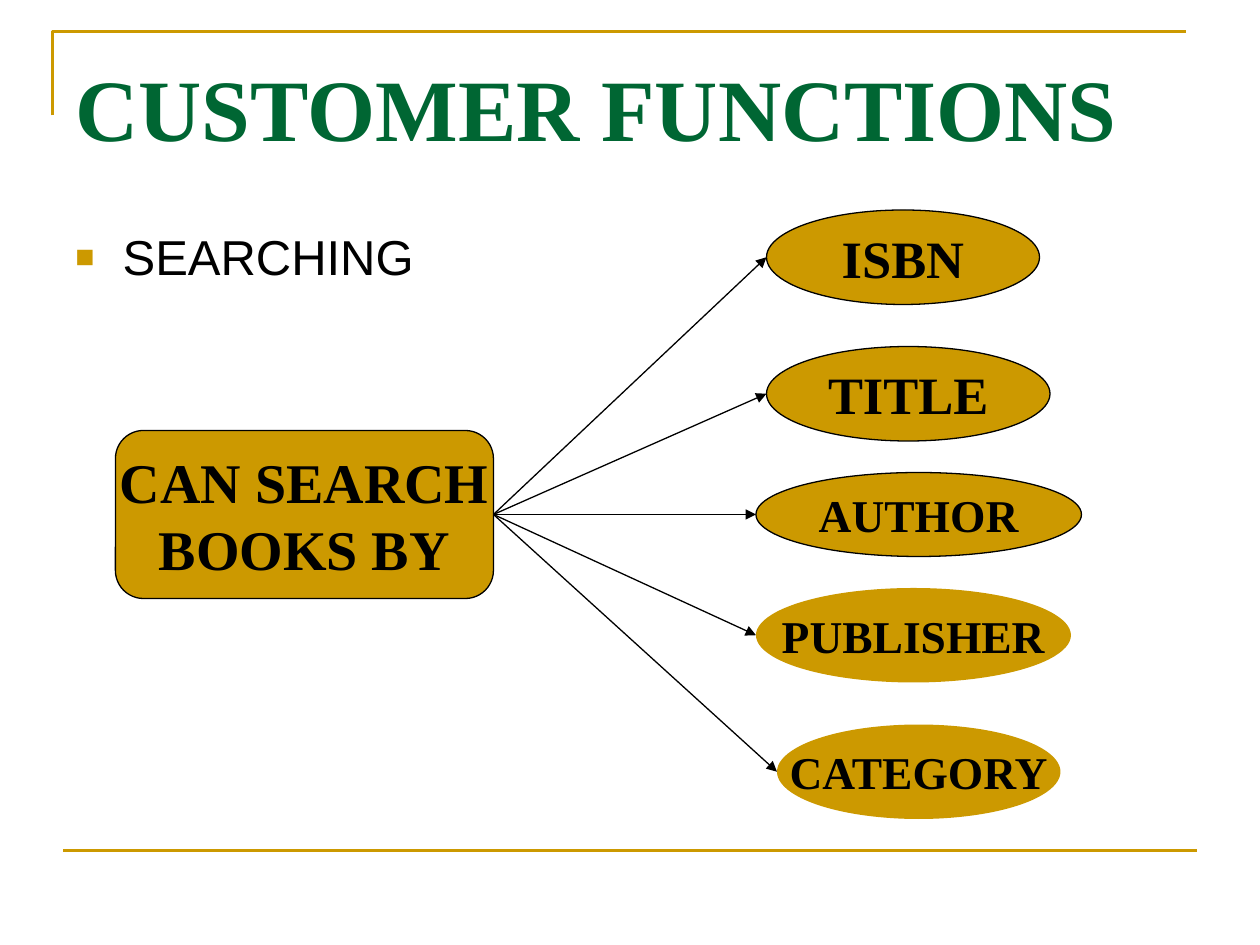
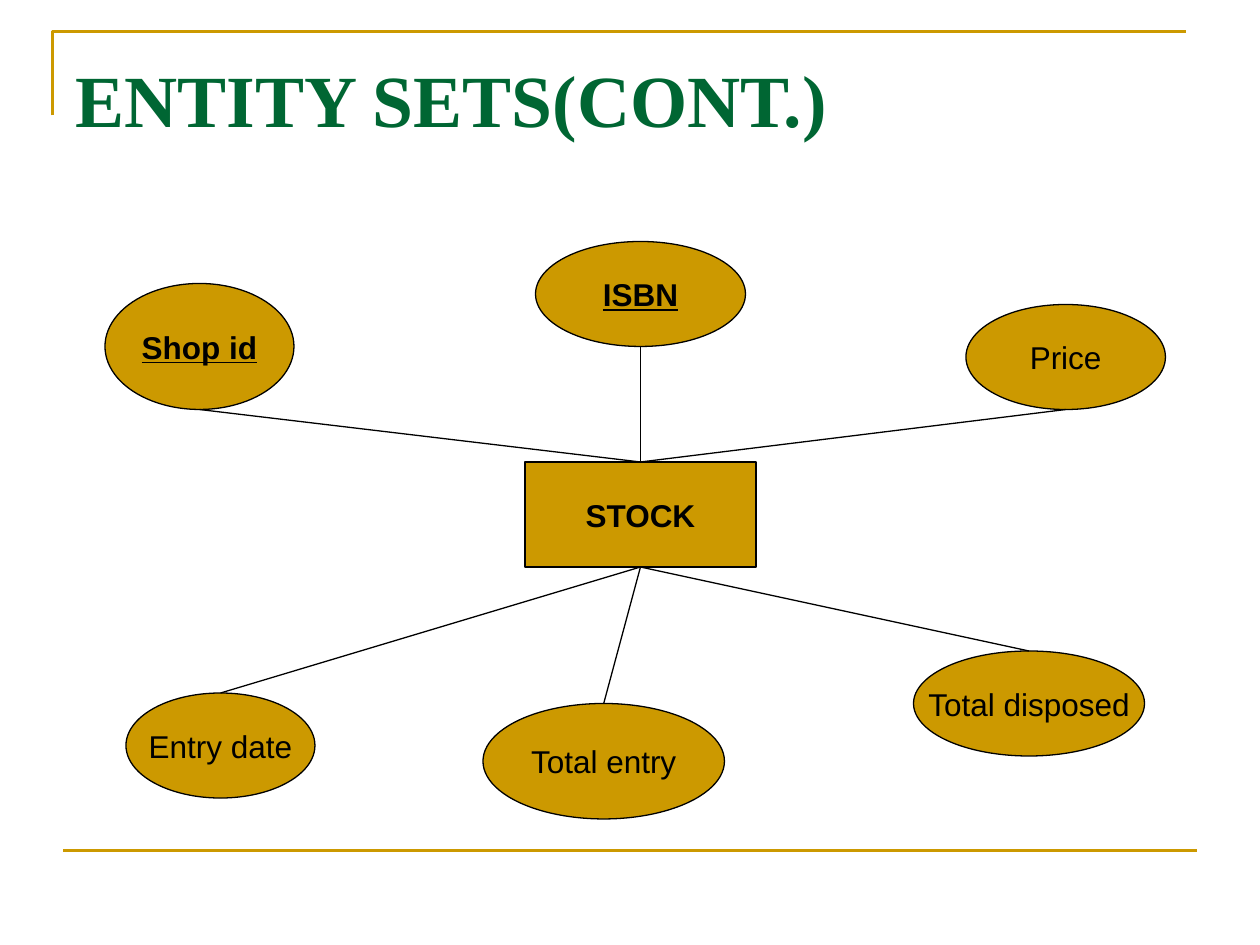
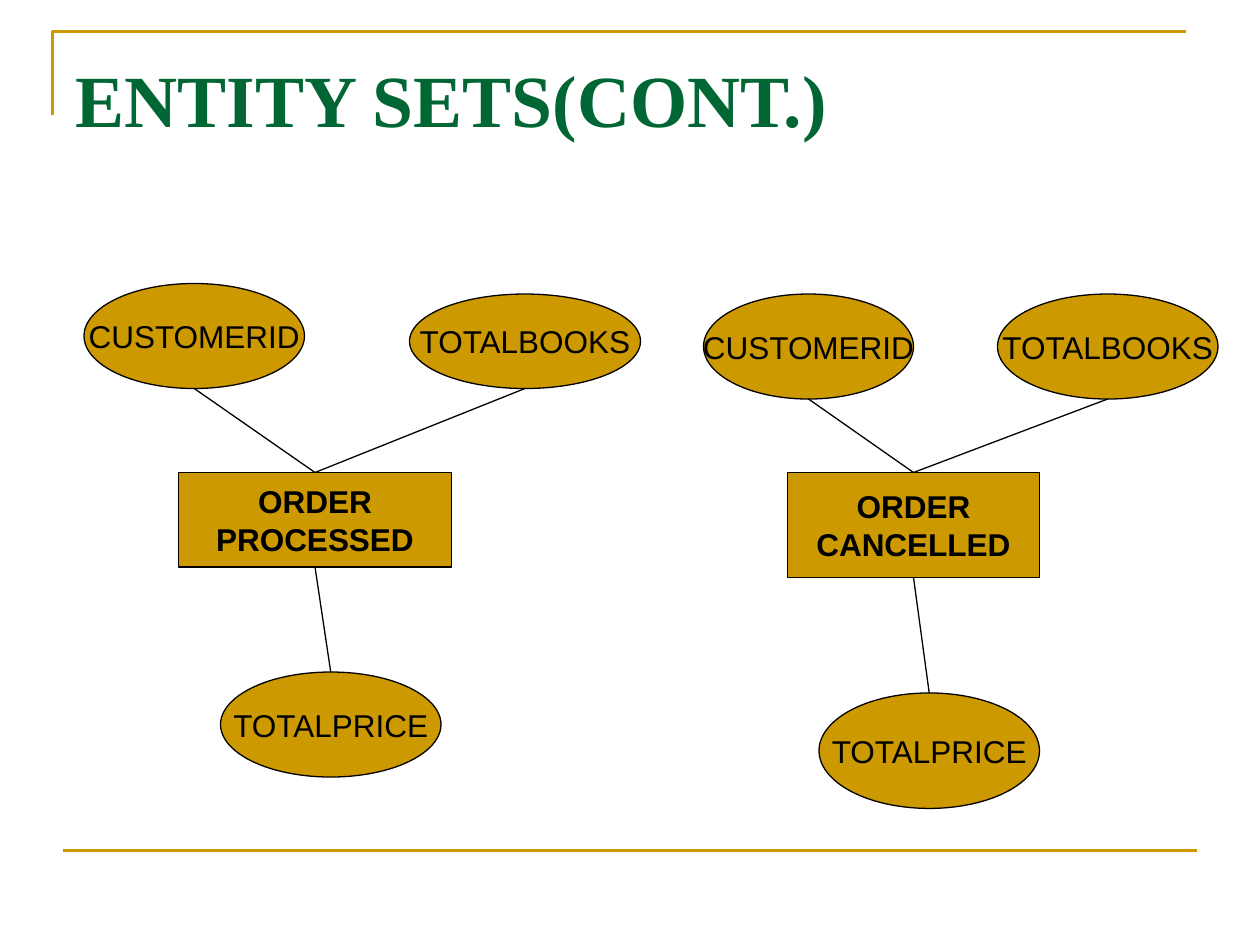
import pptx
import pptx.dml.color
import pptx.enum.shapes
import pptx.enum.text
import pptx.oxml
import pptx.oxml.ns
import pptx.util

Pt = pptx.util.Pt
Color = pptx.dml.color.RGBColor
Shape = pptx.enum.shapes.MSO_SHAPE
Anchor = pptx.enum.text.MSO_ANCHOR
Align = pptx.enum.text.PP_ALIGN

GOLD = Color(0xCC, 0x99, 0x00)
GREEN = Color(0x00, 0x66, 0x33)
BLACK = Color(0x00, 0x00, 0x00)
SERIF = "Times New Roman"
SANS = "Arial"
TOP, LEFT, BOTTOM, RIGHT = range(4)


def write(frame, text, size=18, font=SANS, color=BLACK, bold=False,
          under=False, align=Align.CENTER, anchor=Anchor.MIDDLE, wrap=False):
    """Fill a text frame, one paragraph for each line of text."""
    frame.text = text
    frame.word_wrap = wrap
    frame.auto_size = pptx.enum.text.MSO_AUTO_SIZE.NONE
    frame.vertical_anchor = anchor
    for para in frame.paragraphs:
        para.alignment = align
        for run in para.runs:
            run.font.name = font
            run.font.size = Pt(size)
            run.font.bold = bold
            run.font.underline = under
            run.font.color.rgb = color


def node(slide, box, kind, spot, text, edge=True, **style):
    """Add a gold shape at a spot measured from the corner of the box."""
    left, top, width, height = spot
    shape = slide.shapes.add_shape(kind, Pt(box[0] + left), Pt(box[1] + top),
                                   Pt(width), Pt(height))
    shape.shadow.inherit = False
    shape.fill.solid()
    shape.fill.fore_color.rgb = GOLD
    if edge:
        shape.line.color.rgb = BLACK
        shape.line.width = Pt(0.75)
    else:
        shape.line.fill.background()
    write(shape.text_frame, text, **style)
    return shape


def rule(slide, start, end, color=BLACK, width=0.75, arrow=False):
    """Draw a straight line, with an arrowhead at its end if asked."""
    line = slide.shapes.add_connector(
        pptx.enum.shapes.MSO_CONNECTOR.STRAIGHT, *start, *end)
    line.line.color.rgb = color
    line.line.width = Pt(width)
    props = line._element.spPr
    if arrow:
        tail = pptx.oxml.parse_xml(
            f'<a:tailEnd {pptx.oxml.ns.nsdecls("a")} type="triangle"/>')
        props.find(pptx.oxml.ns.qn("a:ln")).append(tail)
    props.append(pptx.oxml.parse_xml(
        f'<a:effectLst {pptx.oxml.ns.nsdecls("a")}/>'))
    return line


def middle(shape, side):
    """Return the middle of one side of a shape."""
    across = {LEFT: 0, RIGHT: shape.width}.get(side, shape.width // 2)
    down = {TOP: 0, BOTTOM: shape.height}.get(side, shape.height // 2)
    return shape.left + across, shape.top + down


def link(slide, hub, out, oval, into, arrow=False):
    """Join a side of the hub to a side of an oval."""
    line = rule(slide, middle(hub, out), middle(oval, into), arrow=arrow)
    line.begin_connect(hub, out)
    if into == TOP:
        line.end_connect(oval, TOP)


def page(deck, title, size):
    """Add a slide with the gold frame lines and a green title."""
    slide = deck.slides.add_slide(deck.slide_layouts[5])
    pen = slide.shapes.build_freeform(Pt(30), Pt(66))
    pen.add_line_segments([(Pt(30), Pt(18)), (Pt(678), Pt(18))], close=False)
    frame = pen.convert_to_shape()
    frame.shadow.inherit = False
    frame.fill.background()
    frame.line.color.rgb = GOLD
    frame.line.width = Pt(1.5)
    rule(slide, (Pt(36), Pt(486)), (Pt(684), Pt(486)), GOLD, 1.5)
    head = slide.shapes.title
    head.left, head.top, head.width, head.height = map(Pt, (36, 21.6, 648, 90))
    write(head.text_frame, title, size=size, font=SERIF, color=GREEN,
          bold=True, align=Align.LEFT, anchor=Anchor.TOP, wrap=True)
    head.text_frame.margin_top = Pt(9)
    return slide


def bullet(slide, box, text):
    """Add a line of text with a square gold bullet."""
    frame = slide.shapes.add_textbox(*map(Pt, box)).text_frame
    write(frame, text, size=28, align=Align.LEFT, anchor=Anchor.TOP, wrap=True)
    para = frame.paragraphs[0]
    para.space_before = Pt(7)
    props = para._p.get_or_add_pPr()
    props.set("marL", str(Pt(27)))
    props.set("indent", str(Pt(-27)))
    space = pptx.oxml.ns.nsdecls("a")
    for mark in (f'<a:buClr {space}><a:srgbClr val="{GOLD}"/></a:buClr>',
                 f'<a:buSzPct {space} val="65000"/>',
                 f'<a:buFont {space} typeface="{SANS}"/>',
                 f'<a:buChar {space} char="■"/>'):
        props.append(pptx.oxml.parse_xml(mark))


def fan(slide, box, text, spot, leaves):
    """Draw a rounded hub with arrows to a column of ovals."""
    hub = node(slide, box, Shape.ROUNDED_RECTANGLE, spot, text,
               size=32, font=SERIF, bold=True)
    ovals = [node(slide, box, Shape.OVAL, place, label, edge=edge,
                  size=size, font=SERIF, bold=True)
             for label, place, size, edge in leaves]
    for oval in ovals:
        link(slide, hub, RIGHT, oval, LEFT, arrow=True)


def entity(slide, box, name, spot, above, below, keys=()):
    """Draw an entity with attribute ovals above and below; keys stand out."""
    hub = node(slide, box, Shape.RECTANGLE, spot, name, bold=True)
    for out, into, group in ((TOP, BOTTOM, above), (BOTTOM, TOP, below)):
        for label, place in group.items():
            key = label in keys
            oval = node(slide, box, Shape.OVAL, place, label,
                        bold=key, under=key)
            link(slide, hub, out, oval, into)


def main():
    """Build the three slides."""
    deck = pptx.Presentation()
    deck.slide_width, deck.slide_height = Pt(720), Pt(540)

    search = page(deck, "CUSTOMER FUNCTIONS", 50)
    bullet(search, (36, 126, 336, 414), "SEARCHING")
    fan(search, (66, 120), "CAN SEARCH\nBOOKS BY", (0, 126, 216, 96), [
        ("ISBN", (372, 0, 156, 54), 30, True),
        ("TITLE", (372, 78, 162, 54), 30, True),
        ("AUTHOR", (366, 150, 186, 48), 26, True),
        ("PUBLISHER", (366, 216, 180, 54), 26, False),
        ("CATEGORY", (378, 294, 162, 54), 26, False),
    ])

    stock = page(deck, "ENTITY SETS(CONT.)", 42)
    entity(stock, (60, 138), "STOCK", (240, 126, 132, 60),
           {"Shop id": (0, 24, 108, 72),
            "ISBN": (246, 0, 120, 60),
            "Price": (492, 36, 114, 60)},
           {"Entry date": (12, 258, 108, 60),
            "Total entry": (216, 264, 138, 66),
            "Total disposed": (462, 234, 132, 60)},
           keys=("Shop id", "ISBN"))

    orders = page(deck, "ENTITY SETS(CONT.)", 42)
    entity(orders, (48, 162), "ORDER\nPROCESSED", (54, 108, 156, 54),
           {"CUSTOMERID": (0, 0, 126, 60), "TOTALBOOKS": (186, 6, 132, 54)},
           {"TOTALPRICE": (78, 222, 126, 60)})
    entity(orders, (402, 162), "ORDER\nCANCELLED", (48, 108, 144, 60),
           {"CUSTOMERID": (0, 6, 120, 60), "TOTALBOOKS": (168, 6, 126, 60)},
           {"TOTALPRICE": (66, 234, 126, 66)})

    deck.save("out.pptx")


if __name__ == "__main__":
    main()
